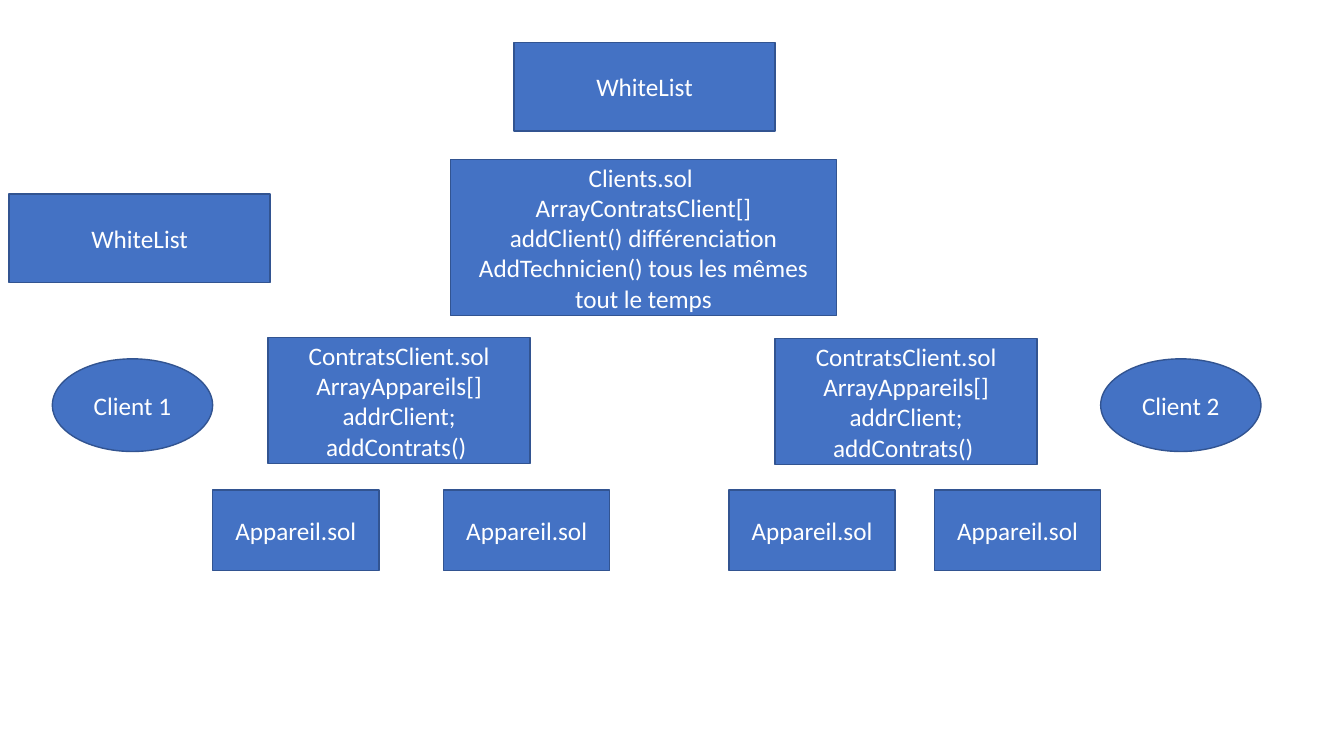
from pptx import Presentation
from pptx.dml.color import RGBColor
from pptx.enum.shapes import MSO_SHAPE
from pptx.enum.text import MSO_ANCHOR, PP_ALIGN
from pptx.util import Pt

RECTANGLE = MSO_SHAPE.RECTANGLE
ELLIPSE = MSO_SHAPE.OVAL
MIDDLE = MSO_ANCHOR.MIDDLE
CENTER = PP_ALIGN.CENTER

BLUE = RGBColor(0x44, 0x72, 0xC4)
DARK_BLUE = RGBColor(0x32, 0x54, 0x91)
WHITE = RGBColor(0xFF, 0xFF, 0xFF)

presentation = Presentation()
presentation.slide_width = Pt(960)
presentation.slide_height = Pt(540)
slide = presentation.slides.add_slide(presentation.slide_layouts[6])


def add_node(kind, left, top, size, lines):
    width, height = size
    node = slide.shapes.add_shape(kind, Pt(left), Pt(top), Pt(width), Pt(height))
    node.shadow.inherit = False
    node.fill.solid()
    node.fill.fore_color.rgb = BLUE
    node.line.color.rgb = DARK_BLUE
    node.line.width = Pt(1)
    frame = node.text_frame
    frame.word_wrap = True
    frame.vertical_anchor = MIDDLE
    frame.text = "\n".join(lines)
    for paragraph in frame.paragraphs:
        paragraph.alignment = CENTER
        paragraph.font.name = "Calibri"
        paragraph.font.size = Pt(18)
        paragraph.font.color.rgb = WHITE


# White lists
for left, top in [(367.2, 30.2), (6.5, 138.5)]:
    add_node(RECTANGLE, left, top, (186.5, 63.4), ["WhiteList"])

# Clients registry
add_node(RECTANGLE, 321.8, 113.8, (275.8, 111.6), [
    "Clients.sol ",
    "ArrayContratsClient[]",
    "addClient() différenciation",
    "AddTechnicien() tous les mêmes tout le temps",
])

# Contracts of each client
contract_lines = ["ContratsClient.sol", "ArrayAppareils[]", "addrClient;", "addContrats() "]
for left, top in [(191.5, 241.2), (553.7, 241.9)]:
    add_node(RECTANGLE, left, top, (187.2, 90), contract_lines)

# Clients
for number, left in enumerate([37.4, 786.2], start=1):
    add_node(ELLIPSE, left, 256.3, (114.5, 66.2), [f"Client {number}"])

# Devices
for left in [151.9, 316.8, 520.6, 667.4]:
    add_node(RECTANGLE, left, 350, (118.8, 57.6), ["Appareil.sol"])

presentation.save("out.pptx")
